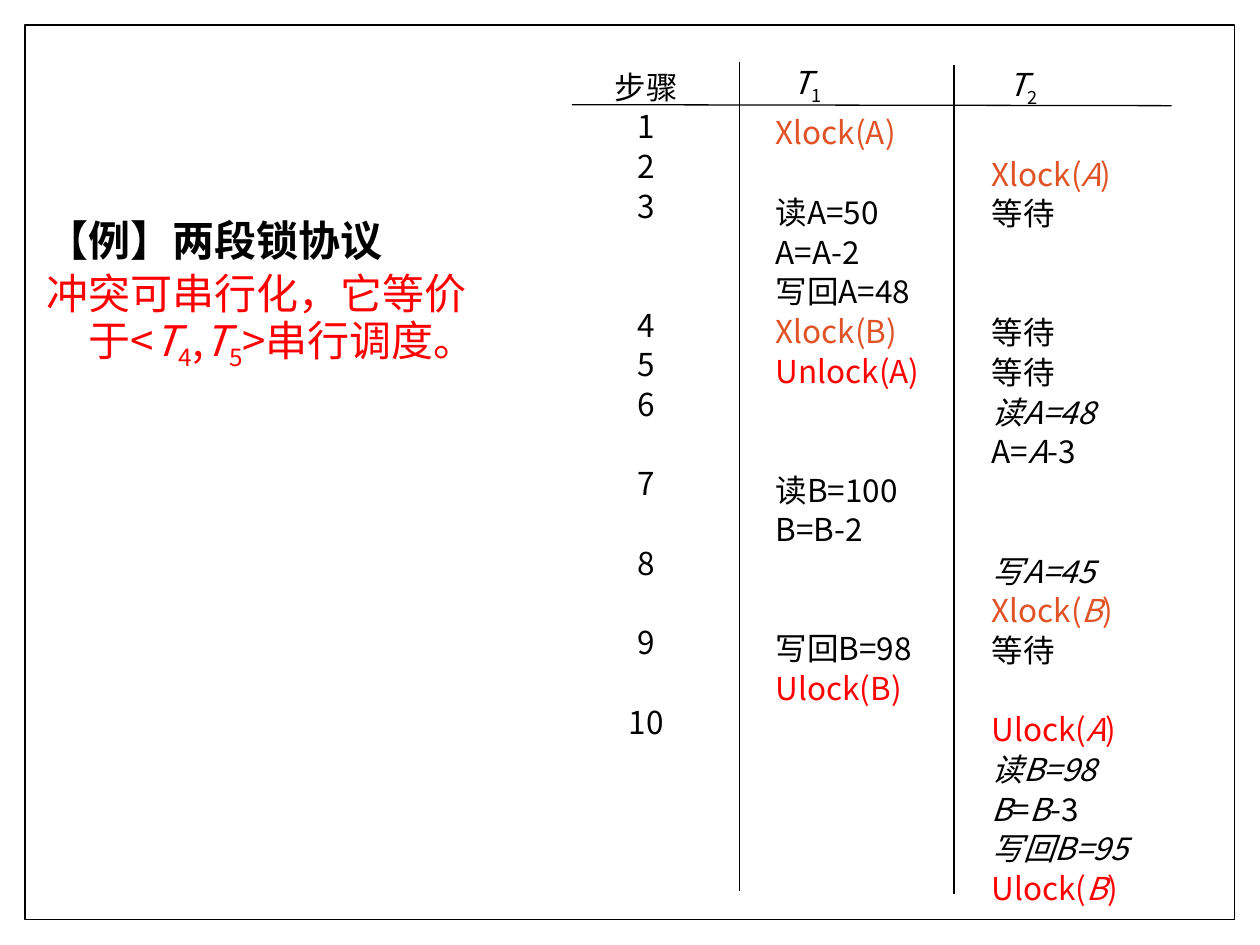
from dataclasses import dataclass

from lxml import etree
from pptx import Presentation
from pptx import util as u
from pptx.dml.color import RGBColor
from pptx.enum import shapes, text
from pptx.oxml.ns import qn

BLACK = RGBColor(0x00, 0x00, 0x00)
WHITE = RGBColor(0xFF, 0xFF, 0xFF)
RED = RGBColor(0xFF, 0x00, 0x00)
ORANGE = RGBColor(0xDF, 0x53, 0x27)
FONT = "Noto Sans CJK SC"
ROW_PITCH = 22.68  # points from one schedule row to the next


@dataclass
class Entry:
    """One schedule row; in its words *...* is italic and _..._ subscript."""
    row: int
    words: str
    color: RGBColor = BLACK


@dataclass
class Column:
    """One schedule column, measured in centimetres."""
    left: float
    top: float
    width: float
    height: float
    align: text.PP_ALIGN
    header: str
    header_indent: float
    header_gap: float
    entries: list[Entry]


@dataclass
class Rule:
    """A thin straight line, measured in centimetres."""
    x1: float
    y1: float
    x2: float
    y2: float


STEP_ROWS = [1, 2, 3, 6, 7, 8, 10, 12, 14, 16]
STEPS = [Entry(row, str(step)) for step, row in enumerate(STEP_ROWS, 1)]

T1 = [
    Entry(1, "Xlock(A)", ORANGE),
    Entry(3, "读A=50"),
    Entry(4, "A=A-2"),
    Entry(5, "写回A=48"),
    Entry(6, "Xlock(B)", ORANGE),
    Entry(7, "Unlock(A)", RED),
    Entry(10, "读B=100"),
    Entry(11, "B=B-2"),
    Entry(14, "写回B=98"),
    Entry(15, "Ulock(B)", RED),
]

T2 = [
    Entry(2, "Xlock(*A*)", ORANGE),
    Entry(3, "等待"),
    Entry(6, "等待"),
    Entry(7, "等待"),
    Entry(8, "*读A=48*"),
    Entry(9, "A=*A*-3"),
    Entry(12, "*写A=45*"),
    Entry(13, "Xlock(*B*)", ORANGE),
    Entry(14, "等待"),
    Entry(16, "Ulock(*A*)", RED),
    Entry(17, "*读B=98*"),
    Entry(18, "*B*=*B*-3"),
    Entry(19, "*写回B=95*"),
    Entry(20, "Ulock(*B*)", RED),
]

COLUMNS = [
    Column(15.39, 1.22, 4.06, 14.83, text.PP_ALIGN.JUSTIFY, "*T*_1_", 0.34, 3, T1),
    Column(19.74, 1.25, 3.99, 16.79, text.PP_ALIGN.JUSTIFY, "*T*_2_", 0.34, 3, T2),
    Column(11.1, 1.2, 3.86, 16.69, text.PP_ALIGN.CENTER, "步骤", 0, 0, STEPS),
]

RULES = [
    Rule(19.23, 1.32, 19.23, 18.03),
    Rule(14.91, 1.24, 14.91, 17.96),
    Rule(11.53, 2.11, 23.62, 2.13),
]


def add_words(paragraph, words: str, size: float, color: RGBColor, bold=False) -> None:
    """Write marked-up words as formatted runs."""
    for i, upright_or_italic in enumerate(words.split("*")):
        for j, piece in enumerate(upright_or_italic.split("_")):
            if not piece:
                continue
            run = paragraph.add_run()
            run.text = piece
            formats = {"size": u.Pt(size), "bold": bold, "italic": i % 2 == 1, "name": FONT}
            for name, value in formats.items():
                setattr(run.font, name, value)
            run.font.color.rgb = color
            properties = run.font._element
            if j % 2:
                properties.set("baseline", "-25000")
            etree.SubElement(properties, qn("a:ea")).set("typeface", FONT)


def add_panel(slide, left: float, top: float, width: float, height: float):
    """Add a white rectangle without outline or shadow."""
    panel = slide.shapes.add_shape(
        shapes.MSO_SHAPE.RECTANGLE, u.Cm(left), u.Cm(top), u.Cm(width), u.Cm(height))
    panel.shadow.inherit = False
    panel.fill.solid()
    panel.fill.fore_color.rgb = WHITE
    panel.line.fill.background()
    return panel


def add_rule(slide, rule: Rule) -> None:
    line = slide.shapes.add_connector(
        shapes.MSO_CONNECTOR.STRAIGHT,
        u.Cm(rule.x1), u.Cm(rule.y1), u.Cm(rule.x2), u.Cm(rule.y2))
    line.line.color.rgb = BLACK
    line.line.width = u.Pt(0.75)
    etree.SubElement(line._element.spPr, qn("a:effectLst"))


def add_column(slide, column: Column) -> None:
    box = slide.shapes.add_textbox(
        u.Cm(column.left), u.Cm(column.top), u.Cm(column.width), u.Cm(column.height))
    frame = box.text_frame
    frame.word_wrap = True
    previous_row = -1
    for entry in [Entry(0, column.header), *column.entries]:
        is_header = entry.row == 0
        paragraph = frame.paragraphs[0] if is_header else frame.add_paragraph()
        skipped_rows = entry.row - previous_row - 1
        formats = {
            "alignment": column.align,
            "line_spacing": u.Pt(ROW_PITCH),
            "space_before": u.Pt(skipped_rows * ROW_PITCH),
            "space_after": u.Pt(column.header_gap if is_header else 0),
        }
        for name, value in formats.items():
            setattr(paragraph, name, value)
        if is_header and column.header_indent:
            paragraph._p.get_or_add_pPr().set("marL", str(u.Cm(column.header_indent)))
        add_words(paragraph, entry.words, 18, entry.color)
        previous_row = entry.row


def add_example(slide) -> None:
    """Add the heading of the example and its conclusion."""
    frame = add_panel(slide, 0.69, 4.19, 9.4, 4.47).text_frame
    frame.word_wrap = True
    frame.vertical_anchor = text.MSO_ANCHOR.TOP
    lines = [
        ("【例】两段锁协议", BLACK, True, 29),
        ("冲突可串行化，它等价于<*T*_4_,*T*_5_>串行调度。", RED, False, 30.5),
    ]
    for i, (words, color, bold, pitch) in enumerate(lines):
        paragraph = frame.add_paragraph() if i else frame.paragraphs[0]
        paragraph.alignment = text.PP_ALIGN.LEFT
        paragraph.line_spacing = u.Pt(pitch)
        hanging = u.Cm(0.84)
        properties = paragraph._p.get_or_add_pPr()
        properties.set("marL", str(hanging))
        properties.set("indent", str(-hanging))
        add_words(paragraph, words, 24, color, bold)


def main() -> None:
    deck = Presentation()
    deck.slide_width, deck.slide_height = u.Cm(25.4), u.Cm(19.05)
    slide = deck.slides.add_slide(deck.slide_layouts[6])

    # Page frame
    page_frame = add_panel(slide, 0.51, 0.51, 24.38, 18.03)
    page_frame.line.color.rgb = BLACK
    page_frame.line.width = u.Pt(1)

    # Example on the left
    add_example(slide)

    # Lock schedule on the right
    for rule in RULES:
        add_rule(slide, rule)
    for column in COLUMNS:
        add_column(slide, column)

    deck.save("out.pptx")


if __name__ == "__main__":
    main()
